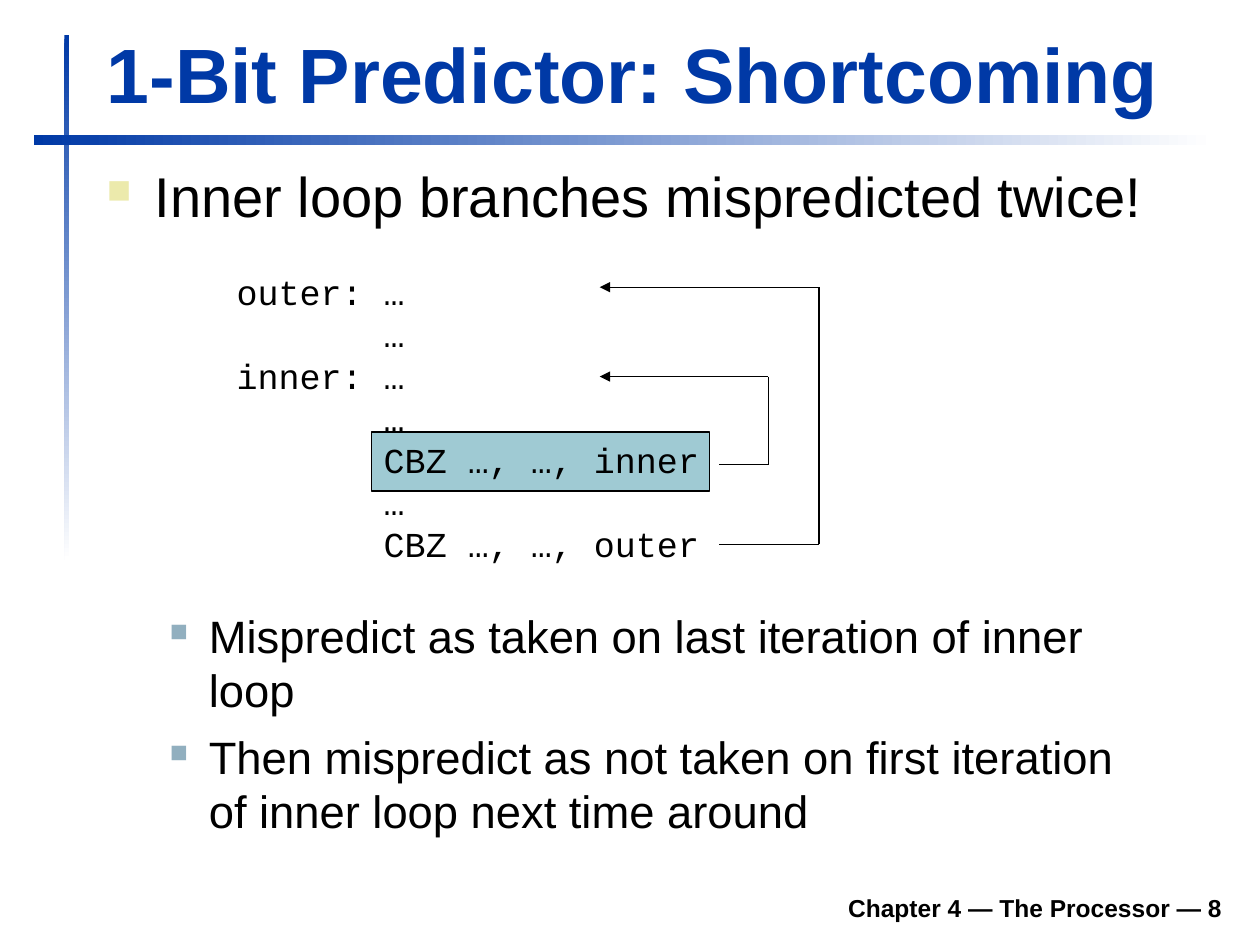
from dataclasses import dataclass
from itertools import pairwise

from lxml import etree
from pptx import Presentation
from pptx.dml.color import RGBColor
from pptx.enum.shapes import MSO_CONNECTOR, MSO_SHAPE
from pptx.enum.text import MSO_ANCHOR, PP_ALIGN
from pptx.oxml.ns import qn
from pptx.util import Cm, Pt

RECTANGLE = MSO_SHAPE.RECTANGLE
STRAIGHT = MSO_CONNECTOR.STRAIGHT
TOP, BOTTOM = MSO_ANCHOR.TOP, MSO_ANCHOR.BOTTOM
LEFT, RIGHT = PP_ALIGN.LEFT, PP_ALIGN.RIGHT


@dataclass(frozen=True)
class TextStyle:
    size: float
    font: str = "Arial"
    color: str = "000000"
    bold: bool = False
    align: int = LEFT
    space_before: float = 0


@dataclass(frozen=True)
class Bullet:
    color: str
    percent: int
    margin: float
    hanging: float


class Theme:
    blue = "0039A6"
    white = "FFFFFF"
    line = "000000"
    highlight = "9FCAD3"
    line_width = 0.75
    title = TextStyle(44, color=blue, bold=True)
    body = TextStyle(32)
    detail = TextStyle(25.9, space_before=7)
    code = TextStyle(20, font="Courier New")
    footer = TextStyle(14, bold=True, align=RIGHT)
    body_bullet = Bullet("ECEAAC", 60, 0.97, 0.97)
    detail_bullet = Bullet("91AFBF", 55, 2.06, 0.79)


TITLE = ["1-Bit Predictor: Shortcoming"]
BODY = ["Inner loop branches mispredicted twice!"]
CODE = [
    "outer: …",
    "       …",
    "inner: …",
    "       …",
    "       CBZ …, …, inner",
    "       …",
    "       CBZ …, …, outer",
]
DETAILS = [
    "Mispredict as taken on last iteration of inner loop",
    "Then mispredict as not taken on first iteration of inner loop next time around",
]
FOOTER = ["Chapter 4 — The Processor — 8"]

# Positions in centimetres: left, top, width, height
RULES = [  # position, gradient angle
    ((1.3, 0.71, 0.1, 10.59), 270),
    ((0.69, 2.72, 23.8, 0.2), 0),
]
HIGHLIGHT_AT = (7.49, 8.71, 6.81, 1.19)
BRANCH_START, BRANCH_END = 14.5, 12.09
BRANCHES = [  # turning column, branch row, target row
    (15.49, 9.37, 7.59),
    (16.51, 10.97, 5.79),
]


def rgb(color):
    return RGBColor.from_string(color)


def lengths(values):
    return [Cm(value) for value in values]


def add_rule(slide, position, angle):
    shape = slide.shapes.add_shape(RECTANGLE, *lengths(position))
    shape.shadow.inherit = False
    shape.line.fill.background()
    shape.fill.gradient()
    shape.fill.gradient_angle = angle
    for stop, color in zip(shape.fill.gradient_stops, (Theme.blue, Theme.white)):
        stop.color.rgb = rgb(color)


def add_highlight(slide):
    shape = slide.shapes.add_shape(RECTANGLE, *lengths(HIGHLIGHT_AT))
    shape.shadow.inherit = False
    shape.fill.solid()
    shape.fill.fore_color.rgb = rgb(Theme.highlight)
    shape.line.color.rgb = rgb(Theme.line)
    shape.line.width = Pt(Theme.line_width)


def set_bullet(paragraph, bullet):
    properties = paragraph._p.get_or_add_pPr()
    properties.set("marL", str(Cm(bullet.margin)))
    properties.set("indent", str(-Cm(bullet.hanging)))
    color = etree.SubElement(properties, qn("a:buClr"))
    etree.SubElement(color, qn("a:srgbClr"), val=bullet.color)
    etree.SubElement(properties, qn("a:buSzPct"), val=str(bullet.percent * 1000))
    etree.SubElement(properties, qn("a:buChar"), char="■")


def add_text(slide, position, lines, style, anchor=TOP, bullet=None, wrap=True):
    frame = slide.shapes.add_textbox(*lengths(position)).text_frame
    frame.word_wrap = wrap
    frame.vertical_anchor = anchor
    for index, line in enumerate(lines):
        paragraph = frame.add_paragraph() if index else frame.paragraphs[0]
        if bullet:
            set_bullet(paragraph, bullet)
        paragraph.alignment = style.align
        paragraph.space_before = Pt(style.space_before if index else 0)
        run = paragraph.add_run()
        run.text = line
        run.font.name = style.font
        run.font.size = Pt(style.size)
        run.font.bold = style.bold
        run.font.color.rgb = rgb(style.color)


def add_line(slide, start, end, arrow):
    connector = slide.shapes.add_connector(STRAIGHT, *lengths(start + end))
    connector.line.color.rgb = rgb(Theme.line)
    connector.line.width = Pt(Theme.line_width)
    if arrow:
        etree.SubElement(connector.line._get_or_add_ln(), qn("a:tailEnd"), type="triangle")
    etree.SubElement(connector._element.spPr, qn("a:effectLst"))


def add_branch(slide, column, source, target):
    """Draw the three-part path from a branch back to its label."""
    corners = [(BRANCH_START, source), (column, source), (column, target), (BRANCH_END, target)]
    for start, end in pairwise(corners):
        add_line(slide, start, end, arrow=end == corners[-1])


def main():
    presentation = Presentation()
    presentation.slide_width, presentation.slide_height = Cm(25.4), Cm(19.05)
    slide = presentation.slides.add_slide(presentation.slide_layouts[6])

    for position, angle in RULES:
        add_rule(slide, position, angle)
    add_text(slide, (4.7, 17.73, 20.19, 0.99), FOOTER, Theme.footer, BOTTOM)
    add_highlight(slide)
    add_text(slide, (1.9, 0.41, 22.94, 2.11), TITLE, Theme.title, BOTTOM)
    add_text(slide, (1.9, 3.13, 22.96, 2.01), BODY, Theme.body, bullet=Theme.body_bullet)
    add_text(slide, (4.52, 5.33, 9.86, 6.2), CODE, Theme.code, wrap=False)
    for branch in BRANCHES:
        add_branch(slide, *branch)
    add_text(slide, (1.9, 12.13, 21.59, 5.21), DETAILS, Theme.detail, bullet=Theme.detail_bullet)

    presentation.save("out.pptx")


if __name__ == "__main__":
    main()
